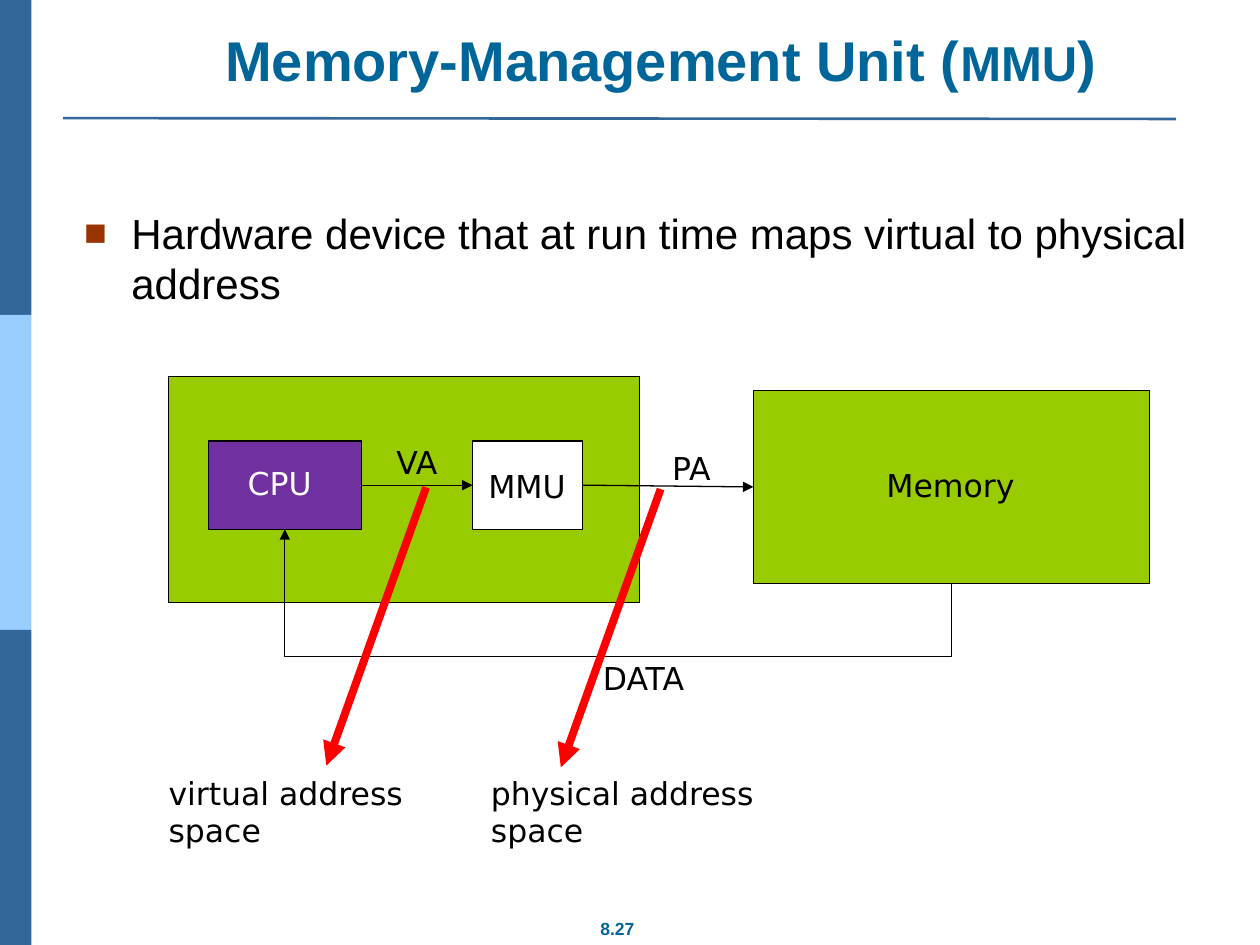
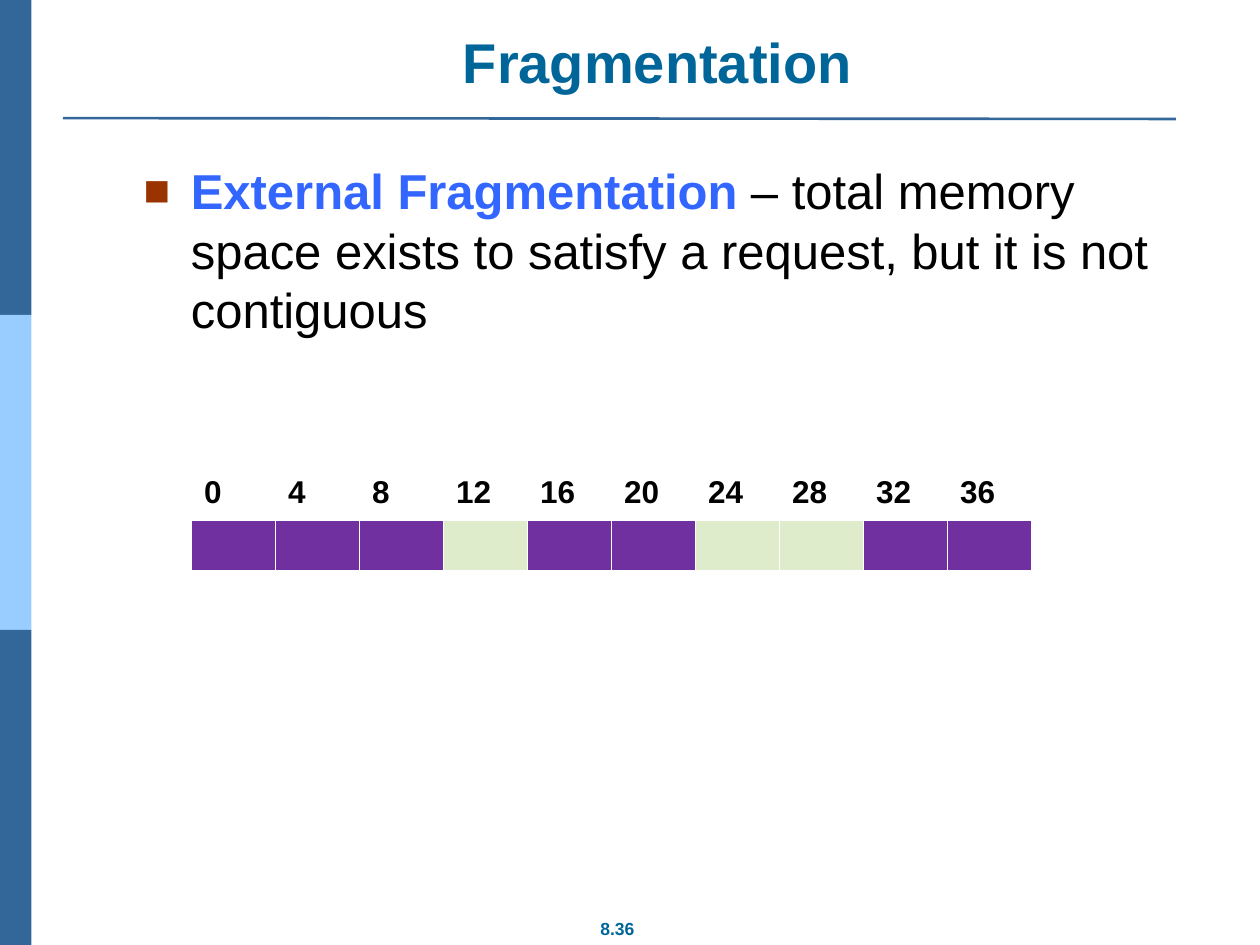
from dataclasses import dataclass
from typing import Any, NamedTuple

from lxml.etree import SubElement
from pptx import Presentation
from pptx.dml.color import RGBColor as RGB
from pptx.enum.shapes import MSO_CONNECTOR as Conn, MSO_SHAPE as Shp
from pptx.enum.text import MSO_ANCHOR as Anchor, PP_ALIGN as Align
from pptx.oxml.ns import qn
from pptx.util import Pt


# ---- Theme and element types ----
@dataclass(frozen=True)
class Theme:
    band: str = "336699"
    band_light: str = "99CCFF"
    title: str = "006699"
    bullet: str = "993300"
    term: str = "3366FF"
    black: str = "000000"
    white: str = "FFFFFF"
    green: str = "99CC00"
    purple: str = "7030A0"
    free: str = "DEECCB"
    red: str = "FF0000"
    font: str = "Arial"
    label_font: str = "DejaVu Sans"
    title_size: float = 32
    acronym_size: float = 28
    label_size: float = 18
    footer_size: float = 10


T = Theme()


class Box(NamedTuple):
    x: float
    y: float
    w: float
    h: float

    def pts(self) -> list:
        return [Pt(v) for v in self]


class Run(NamedTuple):
    text: str
    size: float
    color: str = T.black
    bold: bool = False
    font: str = T.font


class Block(NamedTuple):
    box: Box
    fill: str


class Label(NamedTuple):
    text: str
    box: Box
    color: str = T.black


class Arrow(NamedTuple):
    x1: float
    y1: float
    x2: float
    y2: float


# ---- Drawing helpers ----
def apply(obj: Any, fmt: dict) -> None:
    for name, value in fmt.items():
        setattr(obj, name, value)


def add_runs(p, runs: list[Run]) -> None:
    for run in runs:
        r = p.add_run()
        r.text = run.text
        apply(r.font, {"name": run.font, "size": Pt(run.size), "bold": run.bold})
        r.font.color.rgb = RGB.from_string(run.color)


def add_text(s, box: Box, paragraphs: list[list[Run]], align=Align.LEFT,
             anchor=Anchor.TOP, wrap: bool = True):
    tf = s.shapes.add_textbox(*box.pts()).text_frame
    apply(tf, {"word_wrap": wrap, "vertical_anchor": anchor})
    for i, runs in enumerate(paragraphs):
        p = tf.add_paragraph() if i else tf.paragraphs[0]
        p.alignment = align
        add_runs(p, runs)
    return tf


def add_bullet(s, box: Box, runs: list[Run], spacing: float) -> None:
    p = add_text(s, box, [runs]).paragraphs[0]
    pPr = p._p.get_or_add_pPr()
    pPr.set("marL", str(Pt(27)))
    pPr.set("indent", str(-Pt(27)))
    clr = SubElement(pPr, qn("a:buClr"))
    SubElement(clr, qn("a:srgbClr"), val=T.bullet)
    SubElement(pPr, qn("a:buSzPct"), val="90000")
    SubElement(pPr, qn("a:buFont"), typeface=T.font)
    SubElement(pPr, qn("a:buChar"), char="■")
    p.line_spacing = Pt(spacing)


def add_block(s, block: Block, outlined: bool = True):
    sp = s.shapes.add_shape(Shp.RECTANGLE, *block.box.pts())
    sp.shadow.inherit = False
    sp.fill.solid()
    sp.fill.fore_color.rgb = RGB.from_string(block.fill)
    if outlined:
        sp.line.color.rgb = RGB.from_string(T.black)
        sp.line.width = Pt(0.75)
    else:
        sp.line.fill.background()
    return sp


def add_line(s, ends: Arrow, color: str = T.black, width: float = 0.75,
             head: bool = True, kind=Conn.STRAIGHT):
    c = s.shapes.add_connector(kind, *(Pt(v) for v in ends))
    c.line.color.rgb = RGB.from_string(color)
    c.line.width = Pt(width)
    if head:
        SubElement(c.line._get_or_add_ln(), qn("a:tailEnd"), type="triangle")
    SubElement(c._element.spPr, qn("a:effectLst"))
    return c


def join_sides(s, left, right) -> None:
    c = add_line(s, Arrow(0, 0, 0, 0))
    c.begin_connect(left, 3)
    c.end_connect(right, 1)


def add_return_path(s, start: Box, end: Box, drop: float) -> None:
    """Elbow from the bottom of start, down by drop, up to the bottom of end."""
    x1, y1 = start.x + start.w / 2, start.y + start.h
    x2, y2 = end.x + end.w / 2, end.y + end.h
    cx, cy = (x1 + x2) / 2, (y1 + y2) / 2
    w, h = y1 - y2, x1 - x2
    c = add_line(s, Arrow(cx - w / 2, cy + h / 2, cx + w / 2, cy - h / 2),
                 kind=Conn.ELBOW)
    spPr = c._element.spPr
    spPr.find(qn("a:xfrm")).set("rot", str(270 * 60000))
    geom = spPr.find(qn("a:prstGeom"))
    guides = geom.find(qn("a:avLst"))
    if guides is None:
        guides = SubElement(geom, qn("a:avLst"))
    SubElement(guides, qn("a:gd"), name="adj1",
               fmla=f"val {round(-drop / w * 100000)}")


def set_borders(cell, top: float, bottom: float) -> None:
    tcPr = cell._tc.get_or_add_tcPr()
    for side, width in {"L": 0.45, "R": 0.45, "T": top, "B": bottom}.items():
        ln = SubElement(tcPr, qn(f"a:ln{side}"), w=str(Pt(width)))
        fill = SubElement(ln, qn("a:solidFill"))
        SubElement(fill, qn("a:srgbClr"), val=T.white)


def new_slide(prs, title: list[Run], title_box: Box, number: str):
    s = prs.slides.add_slide(prs.slide_layouts[6])
    for i, color in enumerate((T.band, T.band_light, T.band)):
        add_block(s, Block(Box(0, 180 * i, 18, 180), color), outlined=False)
    add_line(s, Arrow(36, 67.5, 672, 68), T.band, 1.5, head=False)
    add_text(s, Box(317.5, 521, 70.5, 19.5),
             [[Run(number, T.footer_size, T.title, True)]], Align.CENTER, wrap=False)
    add_text(s, title_box, [title], Align.CENTER, Anchor.BOTTOM)
    return s


def title_run(text: str, size: float = T.title_size) -> Run:
    return Run(text, size, T.title, True)


# ---- Slide 8.27: memory-management unit ----
def build_mmu(prs) -> None:
    s = new_slide(prs, [title_run("Memory-Management Unit ("),
                        title_run("MMU", T.acronym_size), title_run(")")],
                  Box(69, 11, 617, 45.5), "8.27")
    add_bullet(s, Box(41, 115, 672, 405), [Run(
        "Hardware device that at run time maps virtual to physical address", 24)], 28.6)

    # Hardware blocks and the paths between them
    blocks = {
        "chip": Block(Box(96.5, 215, 269, 129.5), T.green),
        "cpu": Block(Box(119, 252, 87.5, 50.5), T.purple),
        "mmu": Block(Box(270, 252, 63, 50.5), T.white),
        "memory": Block(Box(430.5, 223, 226.5, 110.5), T.green),
    }
    shapes = {name: add_block(s, block) for name, block in blocks.items()}
    join_sides(s, shapes["cpu"], shapes["mmu"])
    join_sides(s, shapes["mmu"], shapes["memory"])
    add_return_path(s, blocks["memory"].box, blocks["cpu"].box, 41.75)

    # Callout arrows and labels
    labels = [
        Label("CPU", Box(134.5, 261.5, 88, 29), T.white),
        Label("MMU", Box(272, 263.5, 88, 29)),
        Label("Memory", Box(499.5, 262.5, 88, 29)),
        Label("VA", Box(219.5, 249.5, 88, 29)),
        Label("PA", Box(377, 253, 88, 29)),
        Label("DATA", Box(337.5, 373, 88, 29)),
        Label("virtual address\nspace", Box(89.25, 438.5, 182.5, 50.5)),
        Label("physical address\nspace", Box(273.5, 438.5, 182.5, 50.5)),
    ]
    for label in labels:
        add_text(s, label.box, [[Run(line, T.label_size, label.color, font=T.label_font)]
                                for line in label.text.split("\n")])
    for x, y in ((243.5, 278.5), (377.5, 279.5)):
        add_line(s, Arrow(x, y, x - 57, y + 159), T.red, 4.5)


# ---- Slide 8.36: fragmentation ----
def build_fragmentation(prs) -> None:
    s = new_slide(prs, [title_run("Fragmentation")], Box(67.5, 12, 616.5, 45.5), "8.36")
    add_bullet(s, Box(75, 88, 609, 394), [
        Run("External Fragmentation ", 28, T.term, True),
        Run("– total memory space exists to satisfy a request, "
            "but it is not contiguous", 28)], 34)

    # Memory map: an address row above used and free units
    count, unit = 10, 4
    free_addresses = {12, 24, 28}
    table = s.shapes.add_table(2, count, *Box(109.5, 268, 480, 58).pts()).table
    apply(table, {"first_row": False, "horz_banding": False})
    for col in range(count):
        address = col * unit
        table.columns[col].width = Pt(48)
        head, body = table.cell(0, col), table.cell(1, col)
        set_borders(head, 0.45, 1.47)
        set_borders(body, 1.47, 0.45)
        head.fill.background()
        add_runs(head.text_frame.paragraphs[0],
                 [Run(str(address), T.label_size, bold=True)])
        body.fill.solid()
        body.fill.fore_color.rgb = RGB.from_string(
            T.free if address in free_addresses else T.purple)


def main() -> None:
    prs = Presentation()
    apply(prs, {"slide_width": Pt(720), "slide_height": Pt(540)})
    build_mmu(prs)
    build_fragmentation(prs)
    prs.save("out.pptx")


if __name__ == "__main__":
    main()
